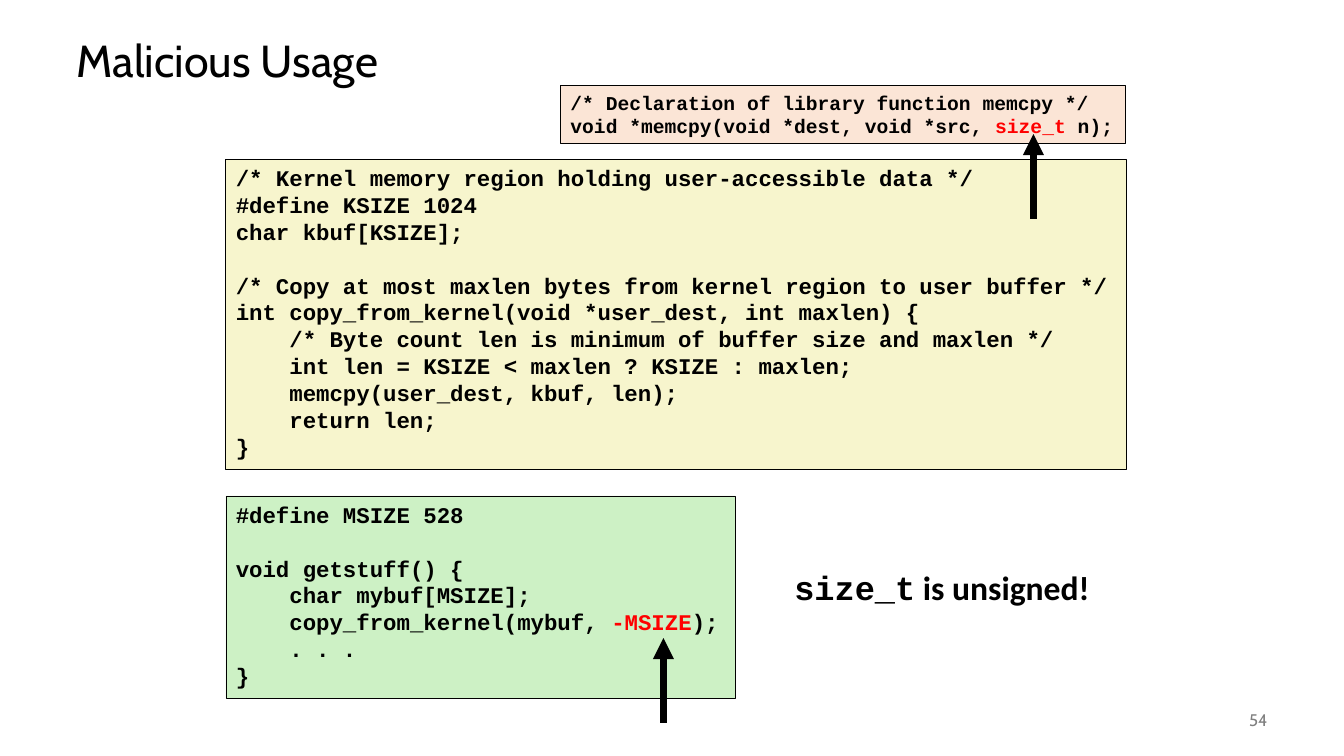
"""Build the "Malicious Usage" slide: code listings with arrows at the unsafe size argument."""
from dataclasses import dataclass

from lxml import etree
from pptx import Presentation
from pptx.dml.color import RGBColor
from pptx.enum.shapes import MSO_CONNECTOR, MSO_SHAPE
from pptx.enum.text import MSO_ANCHOR, MSO_AUTO_SIZE, PP_ALIGN
from pptx.oxml.ns import qn
from pptx.util import Inches, Pt

RECTANGLE = MSO_SHAPE.RECTANGLE
STRAIGHT = MSO_CONNECTOR.STRAIGHT
TOP, MIDDLE = MSO_ANCHOR.TOP, MSO_ANCHOR.MIDDLE
LEFT, RIGHT = PP_ALIGN.LEFT, PP_ALIGN.RIGHT
GROW = MSO_AUTO_SIZE.SHAPE_TO_FIT_TEXT
BLANK_LAYOUT = 6
BLACK, RED, GRAY = "000000", "FF0000", "808080"
CODE_FONT, TITLE_FONT, NOTE_FONT = "Courier New", "Cabin", "Calibri"
ARROW_LENGTH = 0.84

KERNEL_CODE = """\
/* Kernel memory region holding user-accessible data */
#define KSIZE 1024
char kbuf[KSIZE];

/* Copy at most maxlen bytes from kernel region to user buffer */
int copy_from_kernel(void *user_dest, int maxlen) {
    /* Byte count len is minimum of buffer size and maxlen */
    int len = KSIZE < maxlen ? KSIZE : maxlen;
    memcpy(user_dest, kbuf, len);
    return len;
}"""

ATTACK_CODE = """\
#define MSIZE 528

void getstuff() {
    char mybuf[MSIZE];
    copy_from_kernel(mybuf, -MSIZE);
    . . .
}"""

MEMCPY_CODE = """\
/* Declaration of library function memcpy */
void *memcpy(void *dest, void *src, size_t n);"""


@dataclass(frozen=True)
class Listing:
    left: float
    top: float
    width: float
    height: float
    fill: str
    size: int
    code: str
    red_word: str = ""


@dataclass(frozen=True)
class Label:
    left: float
    top: float
    width: float
    height: float
    text: str
    size: int
    color: str
    align: PP_ALIGN


@dataclass(frozen=True)
class Arrow:
    x: float
    tip: float


LISTINGS = (
    Listing(2.24, 1.58, 8.93, 3.08, "F7F5CD", 16, KERNEL_CODE),
    Listing(2.24, 4.92, 5.05, 2.01, "CDF1C5", 16, ATTACK_CODE, "-MSIZE"),
    Listing(5.56, 0.85, 5.6, 0.57, "FBE5D6", 14, MEMCPY_CODE, "size_t"),
)
LABELS = (
    Label(0.66, 0.25, 12, 0.75, "Malicious Usage", 32, BLACK, LEFT),
    Label(11.67, 6.95, 1, 0.4, "54", 12, GRAY, RIGHT),
)
ARROWS = (Arrow(6.58, 6.33), Arrow(10.25, 1.33))


def rgb(color: str) -> RGBColor:
    return RGBColor.from_string(color)


def set_font(font, name: str, size: int, color: str, bold: bool = False) -> None:
    font.name, font.size, font.bold = name, Pt(size), bold
    font.color.rgb = rgb(color)


def add_listing(page, listing: Listing) -> None:
    box = page.shapes.add_shape(
        RECTANGLE, Inches(listing.left), Inches(listing.top),
        Inches(listing.width), Inches(listing.height))
    box.shadow.inherit = False
    box.fill.solid()
    box.fill.fore_color.rgb = rgb(listing.fill)
    box.line.color.rgb = rgb(BLACK)
    box.line.width = Pt(0.5)
    frame = box.text_frame
    frame.word_wrap, frame.auto_size, frame.vertical_anchor = False, GROW, TOP
    for index, line in enumerate(listing.code.splitlines()):
        para = frame.add_paragraph() if index else frame.paragraphs[0]
        para.alignment = LEFT
        set_font(para.font, CODE_FONT, listing.size, BLACK, True)
        marked = listing.red_word and listing.red_word in line
        parts = line.partition(listing.red_word) if marked else (line,)
        for part in filter(None, parts):
            span = para.add_run()
            span.text = part
            span.font.color.rgb = rgb(RED if part == listing.red_word else BLACK)


def add_label(page, label: Label) -> None:
    box = page.shapes.add_textbox(
        Inches(label.left), Inches(label.top), Inches(label.width), Inches(label.height))
    frame = box.text_frame
    frame.word_wrap, frame.vertical_anchor = True, MIDDLE
    para = frame.paragraphs[0]
    para.text, para.alignment, para.line_spacing = label.text, label.align, 0.9
    set_font(para.font, TITLE_FONT, label.size, label.color)


def add_note(page) -> None:
    box = page.shapes.add_textbox(Inches(7.78), Inches(5.58), Inches(3.16), Inches(0.5))
    frame = box.text_frame
    frame.word_wrap, frame.auto_size = False, GROW
    para = frame.paragraphs[0]
    for text, name in (("size_t", CODE_FONT), (" is unsigned!", NOTE_FONT)):
        span = para.add_run()
        span.text = text
        set_font(span.font, name, 24, BLACK, True)


def add_arrow(page, arrow: Arrow) -> None:
    line = page.shapes.add_connector(
        STRAIGHT, Inches(arrow.x), Inches(arrow.tip + ARROW_LENGTH),
        Inches(arrow.x), Inches(arrow.tip))
    line.line.color.rgb = rgb(BLACK)
    line.line.width = Pt(5)
    etree.SubElement(line.line._get_or_add_ln(), qn("a:tailEnd"), type="triangle")
    etree.SubElement(line._element.spPr, qn("a:effectLst"))


def main() -> None:
    deck = Presentation()
    deck.slide_width, deck.slide_height = Inches(13.33), Inches(7.5)
    page = deck.slides.add_slide(deck.slide_layouts[BLANK_LAYOUT])
    for listing in LISTINGS:
        add_listing(page, listing)
    for label in LABELS:
        add_label(page, label)
    add_note(page)
    for arrow in ARROWS:
        add_arrow(page, arrow)
    deck.save("out.pptx")


if __name__ == "__main__":
    main()
